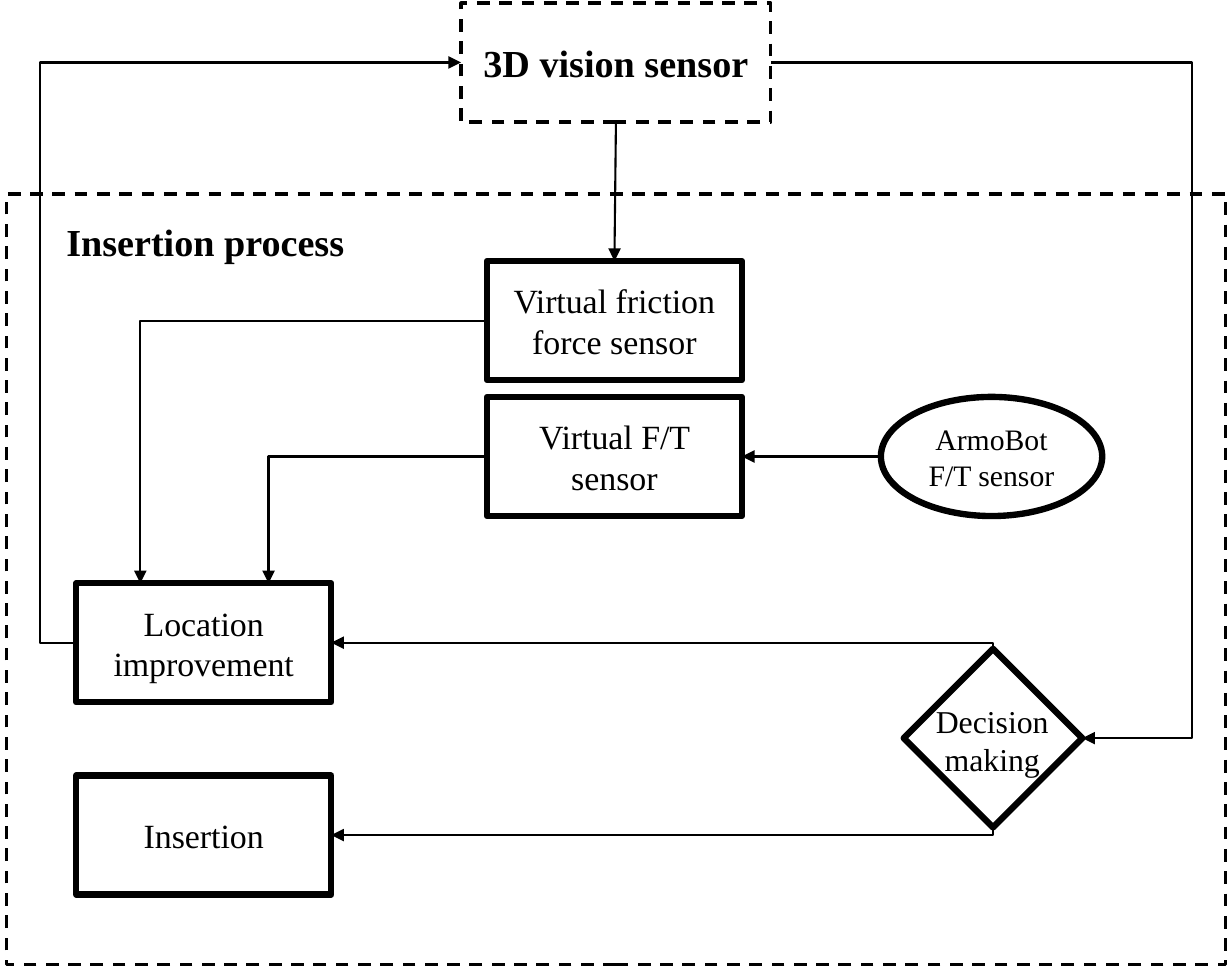
import dataclasses

import lxml.etree
import pptx
import pptx.dml.color
import pptx.enum.dml
import pptx.enum.shapes
import pptx.enum.text
import pptx.oxml.ns
import pptx.util

EMU_PER_PX = 9144
SHAPE = pptx.enum.shapes.MSO_SHAPE
CONNECTOR = pptx.enum.shapes.MSO_CONNECTOR
TOP, LEFT, BOTTOM, RIGHT = range(4)
NODE_WIDTH, NODE_HEIGHT = 167, 78


@dataclasses.dataclass(frozen=True)
class Theme:
    ink: pptx.dml.color.RGBColor = pptx.dml.color.RGBColor(0, 0, 0)
    font: str = "Times New Roman"
    heading_size: int = 18
    node_size: int = 16
    decision_size: int = 15
    device_size: int = 14
    node_line: float = 3
    frame_line: float = 1.5
    arrow_line: float = 1
    inset: int = 5


THEME = Theme()


def px(length):
    return pptx.util.Emu(length * EMU_PER_PX)


def add_element(parent, tag, **attributes):
    return lxml.etree.SubElement(parent, pptx.oxml.ns.qn(tag), attributes)


def write_text(box, text, size, bold=False):
    frame = box.text_frame
    frame.word_wrap = True
    frame.margin_left = frame.margin_right = px(THEME.inset)
    frame.vertical_anchor = pptx.enum.text.MSO_ANCHOR.MIDDLE
    para = frame.paragraphs[0]
    para.alignment = pptx.enum.text.PP_ALIGN.CENTER
    span = para.add_run()
    span.text = text
    span.font.name = THEME.font
    span.font.size = pptx.util.Pt(size)
    span.font.bold = bold
    span.font.color.rgb = THEME.ink


def draw_line(line, width):
    line.color.rgb = THEME.ink
    line.width = pptx.util.Pt(width)


def add_outline(page, kind, left, top, width, height, line_width=THEME.node_line):
    box = page.shapes.add_shape(kind, px(left), px(top), px(width), px(height))
    box.shadow.inherit = False
    box.fill.background()
    draw_line(box.line, line_width)
    return box


def add_frame(page, left, top, width, height):
    box = add_outline(page, SHAPE.RECTANGLE, left, top, width, height, THEME.frame_line)
    box.line.dash_style = pptx.enum.dml.MSO_LINE.DASH
    return box


def add_node(page, left, top, text):
    box = add_outline(page, SHAPE.RECTANGLE, left, top, NODE_WIDTH, NODE_HEIGHT)
    write_text(box, text, THEME.node_size)
    return box


def add_label(page, left, top, width, height, text, size, bold=False):
    box = page.shapes.add_textbox(px(left), px(top), px(width), px(height))
    write_text(box, text, size, bold)


def add_arrow(page, kind, begin, end, head="a:tailEnd"):
    arrow = page.shapes.add_connector(kind, *map(px, begin + end))
    draw_line(arrow.line, THEME.arrow_line)
    add_element(arrow.line._get_or_add_ln(), head, type="triangle")
    add_element(arrow._element.spPr, "a:effectLst")
    return arrow


def add_corner_arrow(page, begin, end, head="a:tailEnd"):
    arrow = add_arrow(page, CONNECTOR.ELBOW, begin, end, head)
    arrow._element.spPr.find(pptx.oxml.ns.qn("a:prstGeom")).set("prst", "bentConnector2")
    return arrow


def add_detour_arrow(page, begin, end, turn_x):
    arrow = add_arrow(page, CONNECTOR.ELBOW, begin, end)
    geometry = arrow._element.spPr.find(pptx.oxml.ns.qn("a:prstGeom"))
    guides = geometry.find(pptx.oxml.ns.qn("a:avLst"))
    ratio = round((turn_x - begin[0]) / (end[0] - begin[0]) * 100000)
    add_element(guides, "a:gd", name="adj1", fmla=f"val {ratio}")
    return arrow


def main():
    deck = pptx.Presentation()
    deck.slide_width, deck.slide_height = px(807), px(634)
    page = deck.slides.add_slide(deck.slide_layouts[6])

    add_frame(page, 4, 127, 799, 505)
    add_label(page, 32, 138, 205, 40, "Insertion process", THEME.heading_size, True)
    vision = add_frame(page, 302, 2, 203, 78)
    write_text(vision, "3D vision sensor", THEME.heading_size, True)

    friction = add_node(page, 319, 171, "Virtual friction force sensor")
    virtual = add_node(page, 319, 260, "Virtual F/T sensor")
    location = add_node(page, 50, 382, "Location improvement")
    insertion = add_node(page, 50, 508, "Insertion")
    device = add_outline(page, SHAPE.OVAL, 577, 260, 145, 78)
    write_text(device, "ArmoBot F/T sensor", THEME.device_size)
    decision = add_outline(page, SHAPE.DIAMOND, 592, 425, 117, 117)
    add_label(page, 592, 454, 116, 61, "Decision making", THEME.decision_size)

    down = add_arrow(page, CONNECTOR.STRAIGHT, (404, 80), (403, 171))
    down.begin_connect(vision, BOTTOM)
    down.end_connect(friction, TOP)
    reading = add_arrow(page, CONNECTOR.STRAIGHT, (577, 299), (486, 299))
    reading.end_connect(virtual, RIGHT)

    feedback = add_detour_arrow(page, (50, 421), (302, 41), 26)
    feedback.begin_connect(location, LEFT)
    feedback.end_connect(vision, LEFT)
    check = add_detour_arrow(page, (505, 41), (709, 483), 781)
    check.begin_connect(vision, RIGHT)
    check.end_connect(decision, RIGHT)

    for sensor, begin_y, end_x in ((friction, 210, 92), (virtual, 299, 176)):
        arrow = add_corner_arrow(page, (319, begin_y), (end_x, 382))
        arrow.begin_connect(sensor, LEFT)

    for target, target_y, side, side_y in (
        (location, 421, TOP, 425),
        (insertion, 547, BOTTOM, 542),
    ):
        arrow = add_corner_arrow(page, (217, target_y), (650, side_y), "a:headEnd")
        arrow.begin_connect(target, RIGHT)
        arrow.end_connect(decision, side)

    deck.save("out.pptx")


if __name__ == "__main__":
    main()
